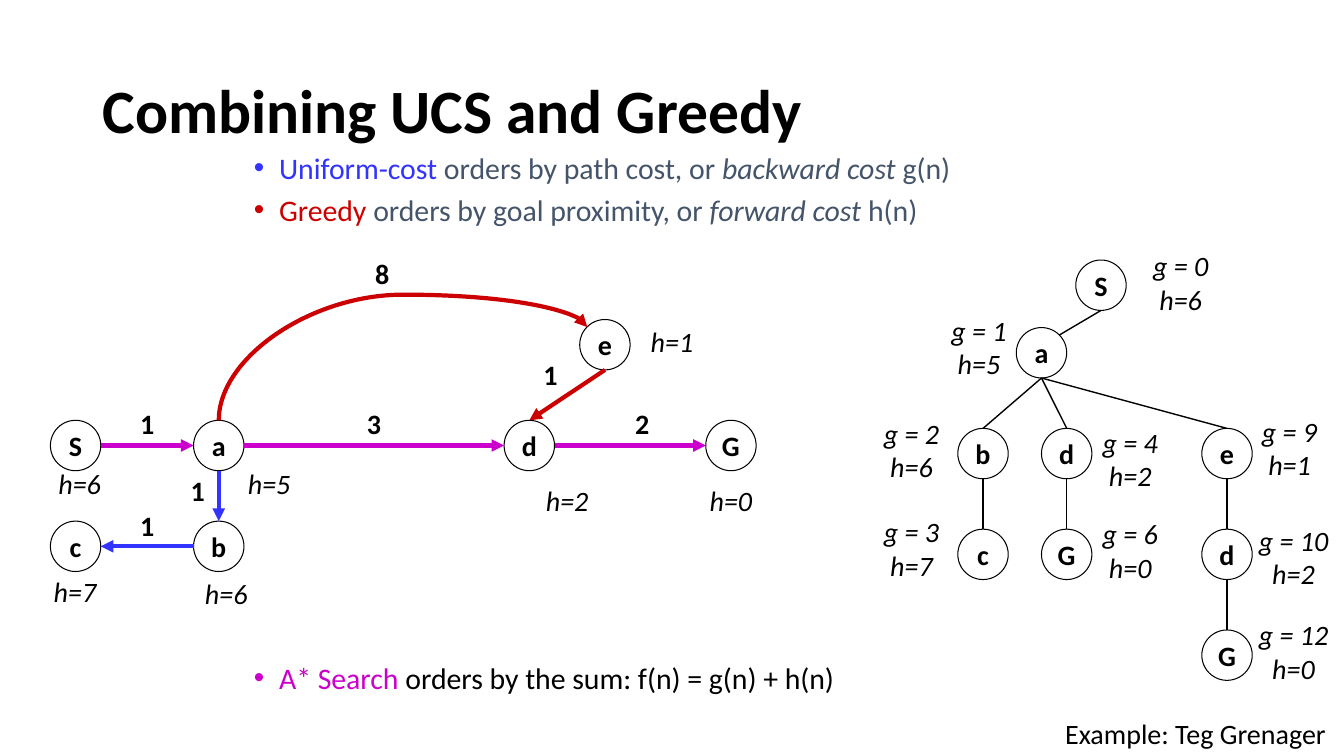
import pptx
import pptx.util
import pptx.dml.color
import pptx.enum.shapes
import pptx.enum.text
import pptx.oxml
import pptx.oxml.ns
from pptx.util import Inches

COLORS = {
    "black": "000000",
    "white": "FFFFFF",
    "slate": "44546A",
    "uniform": "3333FF",
    "greedy": "CC0000",
    "astar": "CC00CC",
}
ALIGN = pptx.enum.text.PP_ALIGN
ANCHOR = pptx.enum.text.MSO_ANCHOR
CONNECTOR = pptx.enum.shapes.MSO_CONNECTOR
NODE_SIZE = 0.5
DIAGONAL = 0.35
SIDES = {
    "top": (0.5, 0),
    "left": (0, 0.5),
    "bottom": (0.5, 1),
    "right": (1, 0.5),
    "top_left": (0.5 - DIAGONAL, 0.5 - DIAGONAL),
    "top_right": (0.5 + DIAGONAL, 0.5 - DIAGONAL),
}

GRAPH_NODES = {
    "S": (0.5, 4.17), "a": (1.92, 4.17), "d": (5, 4.17), "G": (7, 4.17),
    "c": (0.5, 5.17), "b": (1.92, 5.17), "e": (5.75, 3.17),
}
GRAPH_EDGES = [
    ("a", "bottom", "b", "top", "uniform"),
    ("b", "left", "c", "right", "uniform"),
    ("e", "bottom", "d", "top", "greedy"),
    ("S", "right", "a", "left", "astar"),
    ("a", "right", "d", "left", "astar"),
    ("d", "right", "G", "left", "astar"),
]
HEURISTICS = [
    ("h=6", 0.33, 4.58, 0.92), ("h=5", 2.17, 4.58, 1), ("h=2", 5.25, 4.75, 0.75),
    ("h=0", 6.75, 4.75, 1), ("h=7", 0.33, 5.65, 0.83), ("h=6", 1.83, 5.67, 0.83),
    ("h=1", 6.25, 3.17, 0.83),
]
STEP_COSTS = [
    ("1", 1.17, 3.98), ("3", 3.42, 3.98), ("2", 6.08, 3.98), ("1", 1.17, 5),
    ("1", 1.67, 4.65), ("1", 5.17, 3.5), ("8", 3.5, 2.5),
]
TREE_NODES = {
    "S": (10.67, 2.58), "Sa": (10.08, 3.25),
    "Sab": (9.5, 4.25), "Sad": (10.33, 4.25), "Sae": (11.92, 4.25),
    "Sabc": (9.5, 5.25), "SadG": (10.33, 5.25), "Saed": (11.92, 5.25),
    "SaedG": (11.92, 6.25),
}
TREE_COSTS = [
    ("g = 0 h=6", 11.25, 2.42, 0.92), ("g = 1 h=5", 9.25, 3.06, 0.92),
    ("g = 2 h=6", 8.58, 4.08, 0.92), ("g = 3 h=7", 8.58, 5.06, 0.92),
    ("g = 4 h=2", 10.75, 4.17, 0.92), ("g = 6 h=0", 10.75, 5.08, 0.92),
    ("g = 9 h=1", 12.33, 4.06, 0.92), ("g = 10 h=2", 12.33, 5.14, 1),
    ("g = 12 h=0", 12.33, 6.08, 1),
]


def rgb(name):
    return pptx.dml.color.RGBColor.from_string(COLORS[name])


def add_run(paragraph, text, size=20, color="black", bold=False, italic=False):
    run = paragraph.add_run()
    run.text = text
    run.font.name = "Calibri"
    run.font.size = pptx.util.Pt(size)
    run.font.bold = bold
    run.font.italic = italic
    run.font.color.rgb = rgb(color)


def add_box(slide, left, top, width, height):
    box = slide.shapes.add_textbox(Inches(left), Inches(top), Inches(width), Inches(height))
    box.text_frame.word_wrap = True
    return box.text_frame


def add_title(slide, text):
    frame = add_box(slide, 0.92, 0.4, 11.5, 1.45)
    frame.vertical_anchor = ANCHOR.MIDDLE
    frame.paragraphs[0].line_spacing = 0.9
    add_run(frame.paragraphs[0], text, size=44, bold=True)


def add_bullets(slide, top, height, bullets):
    frame = add_box(slide, 2.42, top, 9, height)
    for index, runs in enumerate(bullets):
        paragraph = frame.add_paragraph() if index else frame.paragraphs[0]
        properties = paragraph._p.get_or_add_pPr()
        properties.set("marL", str(Inches(0.25)))
        properties.set("indent", str(-Inches(0.25)))
        pptx.oxml.ns.qn("a:buChar")
        properties.append(pptx.oxml.parse_xml(
            f'<a:buFont {pptx.oxml.ns.nsdecls("a")} typeface="Arial"/>'))
        properties.append(pptx.oxml.parse_xml(
            f'<a:buChar {pptx.oxml.ns.nsdecls("a")} char="•"/>'))
        paragraph.line_spacing = 0.8
        if index:
            paragraph.space_before = pptx.util.Pt(10)
        for text, color, italic in runs:
            add_run(paragraph, text, size=21.3, color=color, italic=italic)


def add_label(slide, text, left, top, width, height=0.43, align=ALIGN.CENTER, **style):
    paragraph = add_box(slide, left, top, width, height).paragraphs[0]
    paragraph.alignment = align
    add_run(paragraph, text, **style)


def add_node(slide, letter, left, top):
    node = slide.shapes.add_shape(
        pptx.enum.shapes.MSO_SHAPE.OVAL,
        Inches(left), Inches(top), Inches(NODE_SIZE), Inches(NODE_SIZE))
    node.shadow.inherit = False
    node.fill.solid()
    node.fill.fore_color.rgb = rgb("white")
    node.line.color.rgb = rgb("black")
    node.line.width = pptx.util.Pt(0.75)
    node.text_frame.word_wrap = False
    node.text_frame.vertical_anchor = ANCHOR.MIDDLE
    node.text_frame.paragraphs[0].alignment = ALIGN.CENTER
    add_run(node.text_frame.paragraphs[0], letter, bold=True)


def side_point(corner, side):
    return [start + NODE_SIZE * share for start, share in zip(corner, SIDES[side])]


def add_edge(slide, start, end, color="black", width=1, arrow=False, kind=CONNECTOR.STRAIGHT):
    edge = slide.shapes.add_connector(kind, *[Inches(value) for value in (*start, *end)])
    edge.line.color.rgb = rgb(color)
    edge.line.width = pptx.util.Pt(width)
    if arrow:
        edge.line._get_or_add_ln().append(pptx.oxml.parse_xml(
            f'<a:tailEnd {pptx.oxml.ns.nsdecls("a")} type="triangle"/>'))
    edge._element.spPr.append(pptx.oxml.parse_xml(
        f'<a:effectLst {pptx.oxml.ns.nsdecls("a")}/>'))
    return edge


def add_arched_edge(slide, start, end, color, bend):
    center_x, center_y = (start[0] + end[0]) / 2, (start[1] + end[1]) / 2
    half_rise, half_run = (start[1] - end[1]) / 2, (end[0] - start[0]) / 2
    edge = add_edge(
        slide, (center_x - half_rise, center_y - half_run),
        (center_x + half_rise, center_y + half_run),
        color, 3, True, CONNECTOR.CURVE)
    properties = edge._element.spPr
    properties.find(pptx.oxml.ns.qn("a:xfrm")).set("rot", str(270 * 60000))
    geometry = properties.find(pptx.oxml.ns.qn("a:prstGeom"))
    geometry.find(pptx.oxml.ns.qn("a:avLst")).append(pptx.oxml.parse_xml(
        f'<a:gd {pptx.oxml.ns.nsdecls("a")} name="adj1" fmla="val {bend}"/>'))


def add_graph(slide):
    for letter, corner in GRAPH_NODES.items():
        add_node(slide, letter, *corner)
    for source, source_side, target, target_side, color in GRAPH_EDGES:
        add_edge(slide, side_point(GRAPH_NODES[source], source_side),
                 side_point(GRAPH_NODES[target], target_side), color, 3, True)
    add_arched_edge(slide, side_point(GRAPH_NODES["a"], "top"),
                    side_point(GRAPH_NODES["e"], "top_left"), "greedy", 134800)
    for text, left, top, width in HEURISTICS:
        add_label(slide, text, left, top, width, italic=True)
    for text, left, top in STEP_COSTS:
        add_label(slide, text, left, top, 0.58, bold=True)


def add_tree(slide):
    for route, corner in TREE_NODES.items():
        add_node(slide, route[-1], *corner)
        if len(route) > 1:
            side = "top_right" if route == "Sa" else "top"
            add_edge(slide, side_point(TREE_NODES[route[:-1]], "bottom"),
                     side_point(corner, side))
    for text, left, top, width in TREE_COSTS:
        add_label(slide, text, left, top, width, 0.77, italic=True)


def main():
    deck = pptx.Presentation()
    deck.slide_width, deck.slide_height = Inches(13.33), Inches(7.5)
    slide = deck.slides.add_slide(deck.slide_layouts[6])
    add_title(slide, "Combining UCS and Greedy")
    add_bullets(slide, 1.5, 0.9, [
        [("Uniform-cost ", "uniform", False), ("orders by path cost, or ", "slate", False),
         ("backward cost ", "slate", True), ("g(n)", "slate", False)],
        [("Greedy ", "greedy", False), ("orders by goal proximity, or ", "slate", False),
         ("forward cost ", "slate", True), ("h(n)", "slate", False)],
    ])
    add_graph(slide)
    add_tree(slide)
    add_bullets(slide, 6.56, 0.44, [
        [("A* Search", "astar", False),
         (" orders by the sum: f(n) = g(n) + h(n)", "black", False)],
    ])
    add_label(slide, "Example: Teg Grenager", 10.17, 7.06, 3.08, 0.44, ALIGN.RIGHT)
    deck.save("out.pptx")


if __name__ == "__main__":
    main()
